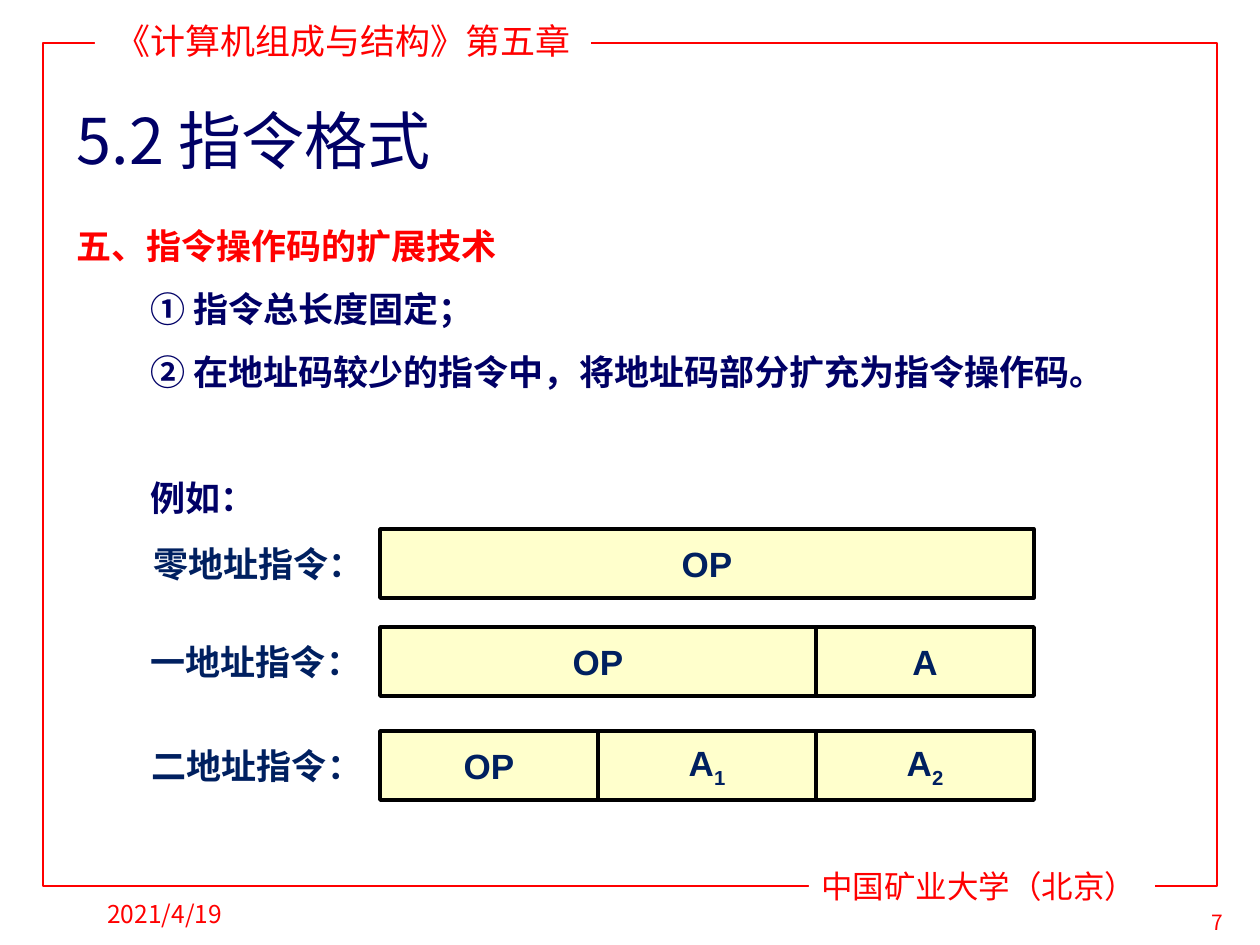
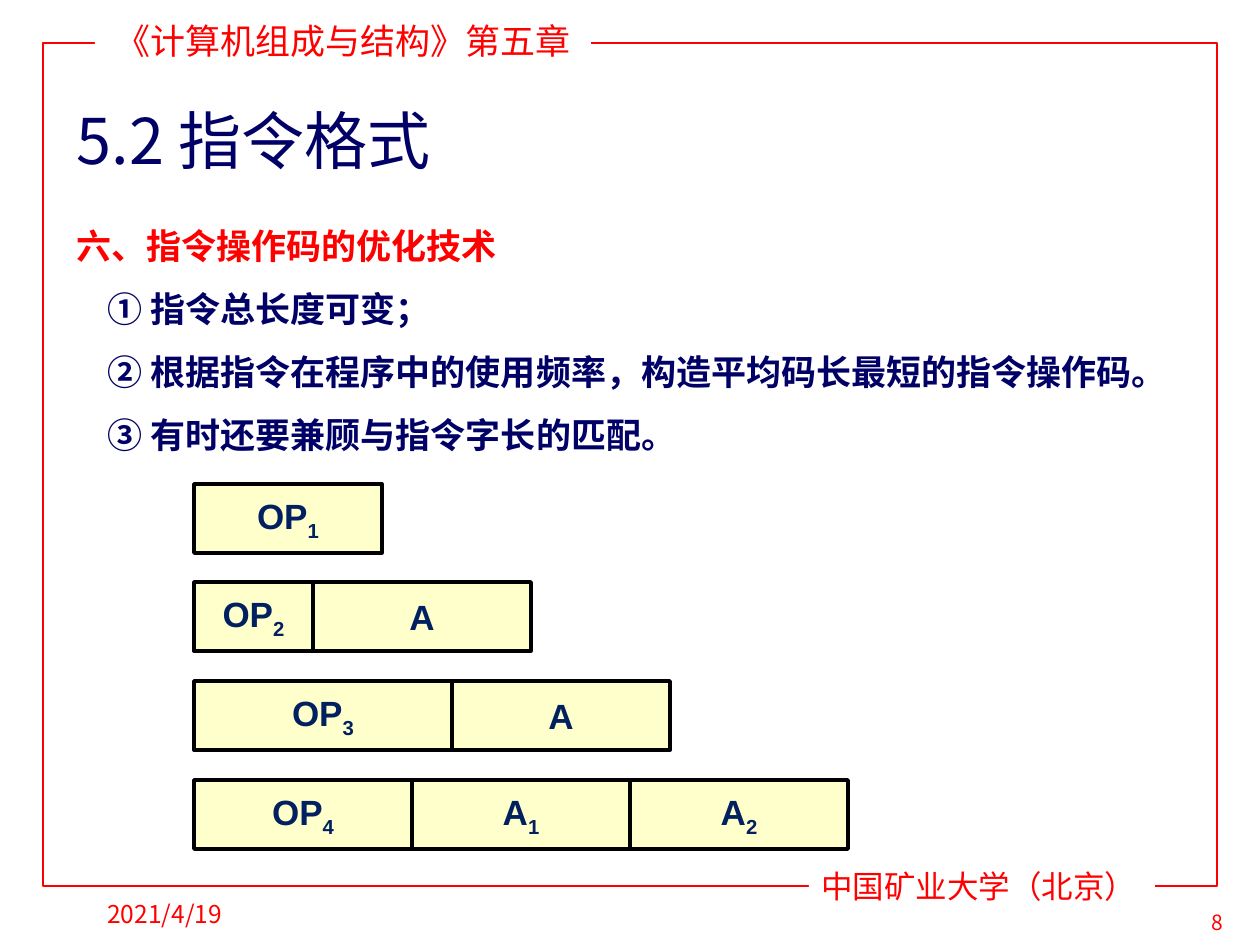
"""Build two slides on extending and optimising instruction opcodes."""
from dataclasses import dataclass

from lxml.etree import SubElement
from pptx import Presentation
from pptx.dml.color import RGBColor as Rgb
from pptx.enum.shapes import MSO_SHAPE as Kind
from pptx.enum.text import MSO_ANCHOR as Anchor, PP_ALIGN as Align
from pptx.oxml.ns import qn
from pptx.util import Pt


@dataclass(frozen=True)
class Theme:
    red: str = "FF0000"
    navy: str = "000066"
    ink: str = "002060"
    cream: str = "FFFFCC"
    white: str = "FFFFFF"
    black: str = "000000"
    sans: str = "Noto Sans CJK SC"
    serif: str = "Times New Roman"
    code: str = "Arial"
    head: int = 36
    body: int = 20
    foot: int = 18
    date: int = 14
    page: int = 12
    pitch: int = 36


T = Theme()
SCALE = 914400 / 126
UNIT = 218
HIGH = 69

BOOK = "《计算机组成与结构》第五章"
SCHOOL = "中国矿业大学（北京）"
DATE = "2021/4/19"
TITLE = "5.2 指令格式"

SLIDES = [
    {
        "page": 7,
        "topic": "五、指令操作码的扩展技术",
        "points": [
            "① 指令总长度固定；",
            "② 在地址码较少的指令中，将地址码部分扩充为指令操作码。",
            "例如：",
        ],
        "indent": 74,
        "gaps": {"例如：": T.pitch},
        "left": 380,
        "tops": [529, 627, 731],
        "labels": [
            ("零地址指令：", 137),
            ("一地址指令：", 132),
            ("二地址指令：", 134),
        ],
        "rows": [
            [("OP", 3 * UNIT)],
            [("OP", 2 * UNIT), ("A", UNIT)],
            [("OP", UNIT), ("A_1", UNIT), ("A_2", UNIT)],
        ],
    },
    {
        "page": 8,
        "topic": "六、指令操作码的优化技术",
        "points": [
            "① 指令总长度可变；",
            "② 根据指令在程序中的使用频率，构造平均码长最短的指令操作码。",
            "③ 有时还要兼顾与指令字长的匹配。",
        ],
        "indent": 31,
        "gaps": {},
        "left": 194,
        "tops": [484 + 296 * n // 3 for n in range(4)],
        "labels": [],
        "rows": [
            [("OP_1", 188)],
            [("OP_2", 119), ("A", UNIT)],
            [("OP_3", 258), ("A", UNIT)],
            [("OP_4", UNIT), ("A_1", UNIT), ("A_2", UNIT)],
        ],
    },
]


def px(num):
    return round(num * SCALE)


def write(para, text, size=T.body, color=T.ink, face=T.sans, bold=False,
          align=Align.LEFT, indent=0, pitch=None, gap=0):
    para.alignment = align
    if indent:
        para._p.get_or_add_pPr().set("indent", str(px(indent)))
    if pitch:
        para.line_spacing = Pt(pitch)
    if gap:
        para.space_before = Pt(gap)
    main, _, sub = text.partition("_")
    for part, base in ((main, None), (sub, "-25000")):
        if not part:
            continue
        run = para.add_run()
        run.text = part
        font = run.font
        font.size, font.bold, font.name = Pt(size), bold, face
        font.color.rgb = Rgb.from_string(color)
        props = run._r.get_or_add_rPr()
        SubElement(props, qn("a:ea")).set("typeface", T.sans)
        if base:
            props.set("baseline", base)


def box(slide, area, text="", fill=None, line=None, width=2,
        anchor=Anchor.MIDDLE, **style):
    shape = slide.shapes.add_shape(Kind.RECTANGLE, *map(px, area))
    shape.shadow.inherit = False
    if fill:
        shape.fill.solid()
        shape.fill.fore_color.rgb = Rgb.from_string(fill)
    else:
        shape.fill.background()
    if line:
        shape.line.color.rgb = Rgb.from_string(line)
        shape.line.width = Pt(width)
    else:
        shape.line.fill.background()
    frame = shape.text_frame
    frame.word_wrap = True
    frame.vertical_anchor = anchor
    if text:
        write(frame.paragraphs[0], text, **style)


def note(slide, area, text, anchor=Anchor.TOP, **style):
    frame = slide.shapes.add_textbox(*map(px, area)).text_frame
    frame.word_wrap = True
    frame.vertical_anchor = anchor
    write(frame.paragraphs[0], text, **style)
    return frame


def base(deck, page):
    slide = deck.slides.add_slide(deck.slide_layouts[5])
    box(slide, (43, 43, 1174, 843), line=T.red, width=1)
    box(slide, (95, 13, 496, 55), BOOK, fill=T.white, anchor=Anchor.TOP,
        color=T.red, align=Align.CENTER)
    box(slide, (809, 861, 346, 50), SCHOOL, fill=T.white, anchor=Anchor.TOP,
        size=T.foot, color=T.red, face=T.serif)
    note(slide, (95, 882, 262, 63), DATE, anchor=Anchor.MIDDLE,
         size=T.date, color=T.red)
    note(slide, (1176, 903, 82, 38), str(page), size=T.page, color=T.red,
         align=Align.CENTER)
    title = slide.shapes.title
    title.left, title.top, title.width, title.height = map(
        px, (64, 95, 1142, 89))
    title.text_frame.vertical_anchor = Anchor.MIDDLE
    write(title.text_frame.paragraphs[0], TITLE, size=T.head, color=T.navy)
    return slide


def build(deck, data):
    slide = base(deck, data["page"])
    frame = note(slide, (64, 197, 1142, 300), data["topic"], color=T.red,
                 bold=True, pitch=T.pitch)
    for point in data["points"]:
        write(frame.add_paragraph(), point, color=T.navy, bold=True,
              indent=data["indent"], pitch=T.pitch,
              gap=data["gaps"].get(point, 0))
    for (text, left), top in zip(data["labels"], data["tops"]):
        box(slide, (left, top, data["left"] - left, HIGH), text,
            fill=T.white, line=T.white, bold=True, align=Align.CENTER)
    for row, top in zip(data["rows"], data["tops"]):
        left = data["left"]
        for text, wide in row:
            box(slide, (left, top, wide, HIGH), text, fill=T.cream,
                line=T.black, face=T.code, bold=True, align=Align.CENTER)
            left += wide


def main():
    deck = Presentation()
    deck.slide_width, deck.slide_height = px(1260), px(945)
    for data in SLIDES:
        build(deck, data)
    deck.save("out.pptx")


if __name__ == "__main__":
    main()
